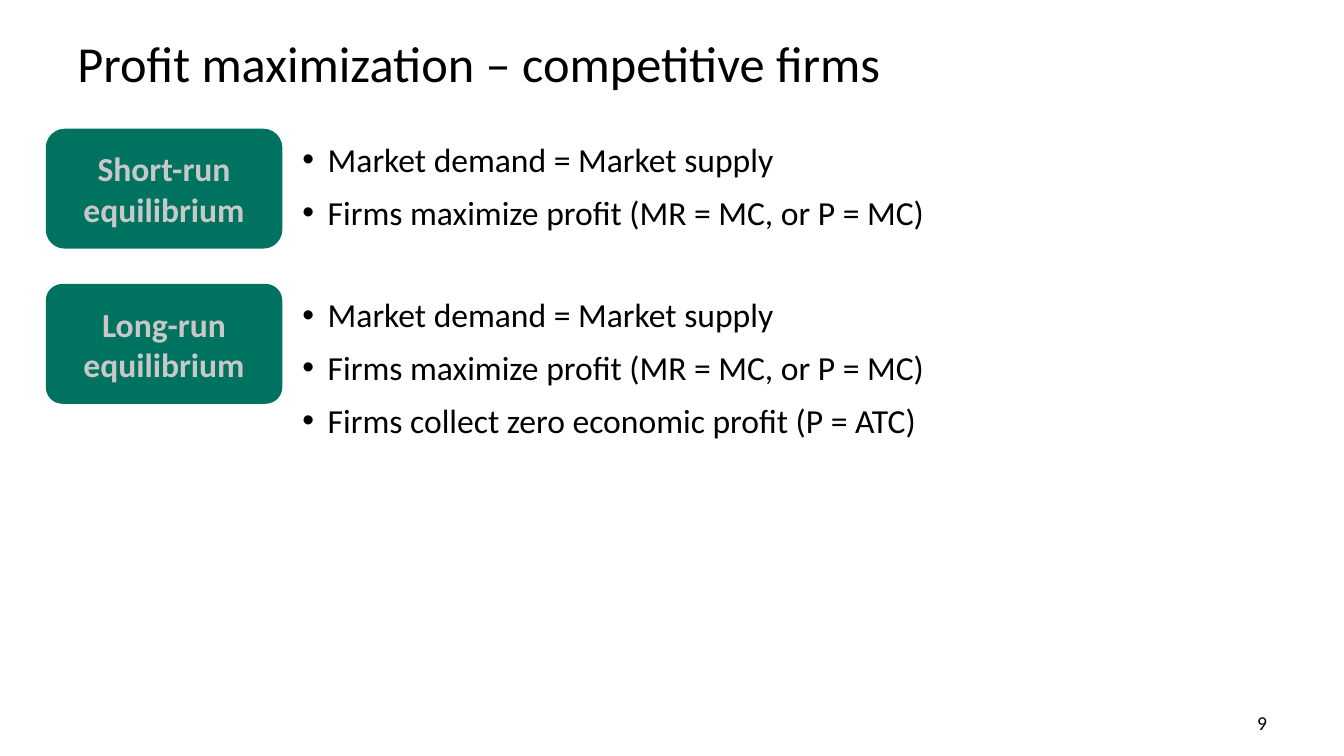
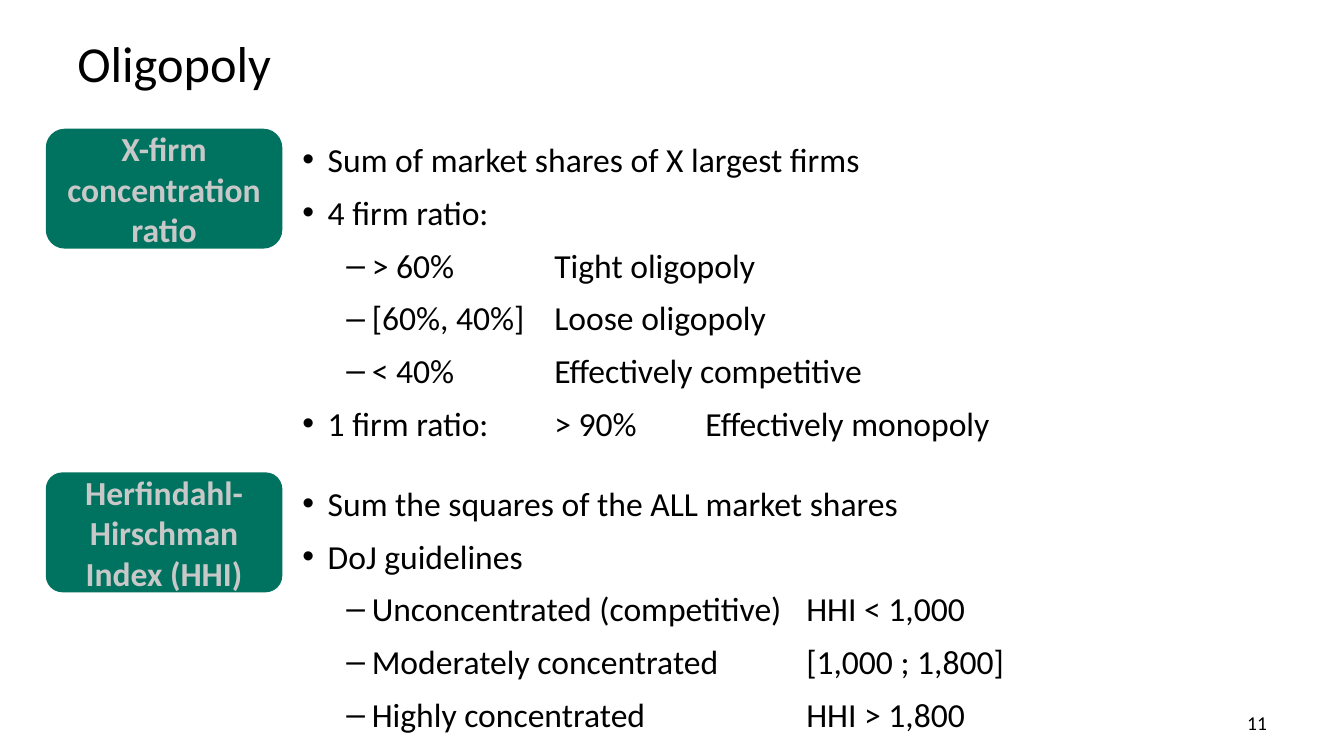
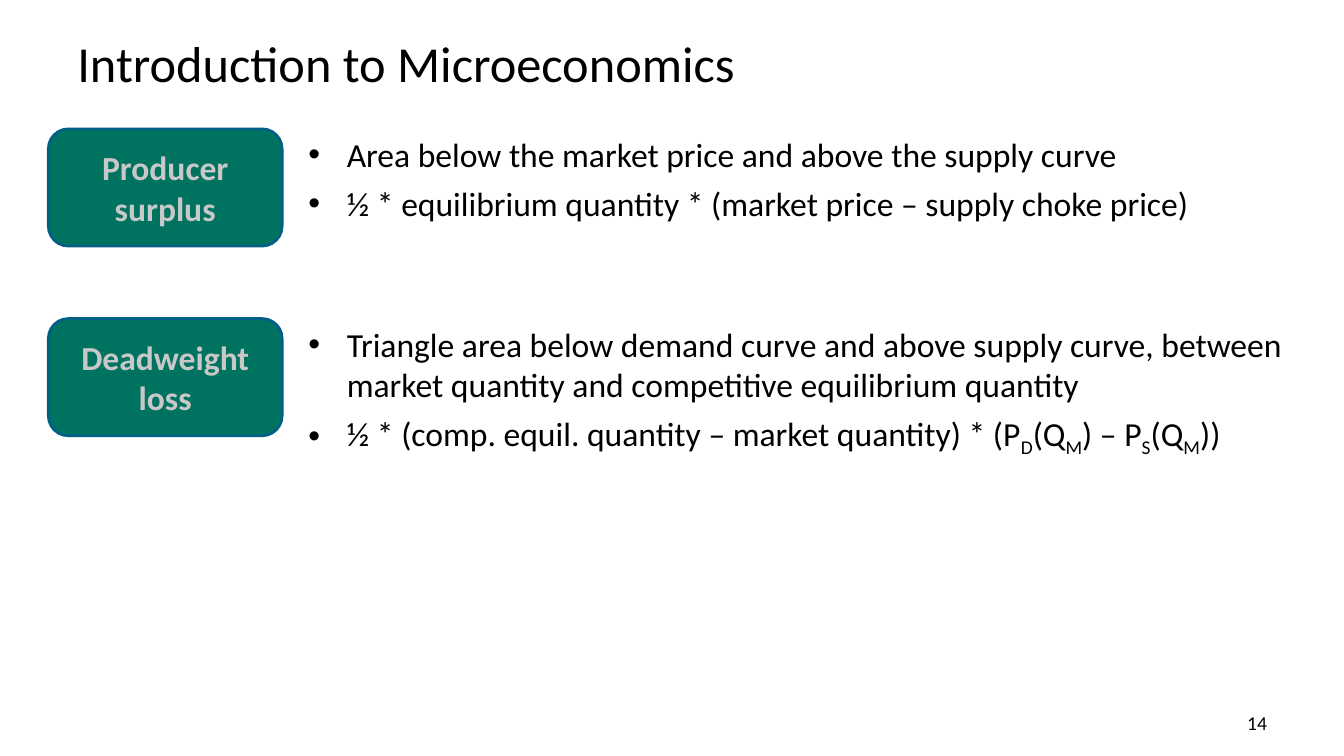
from dataclasses import dataclass

from lxml import etree
from pptx import Presentation
from pptx.dml.color import RGBColor
from pptx.enum.shapes import MSO_SHAPE
from pptx.enum.text import MSO_ANCHOR, PP_ALIGN
from pptx.oxml.ns import qn
from pptx.util import Cm, Pt

ROUNDED = MSO_SHAPE.ROUNDED_RECTANGLE
MIDDLE, TOP = MSO_ANCHOR.MIDDLE, MSO_ANCHOR.TOP
LEFT, CENTER, RIGHT = PP_ALIGN.LEFT, PP_ALIGN.CENTER, PP_ALIGN.RIGHT


@dataclass(frozen=True)
class Theme:
    font: str = "Calibri"
    bullet_font: str = "Arial"
    ink: str = "000000"
    card: str = "007360"
    card_text: str = "C8C8C8"
    blue: str = "005F85"
    title_size: int = 36
    body_size: int = 24
    number_size: int = 14
    line_width: int = 2
    space_after: int = 6


@dataclass(frozen=True)
class RowStyle:
    card_left: float
    body_left: float
    body_width: float
    outline: str
    hanging: float
    line_spacing: float


THEME = Theme()
WIDE = RowStyle(1.19, 7.37, 25.2, THEME.card, 0.64, 1.1)
OUTLINED = RowStyle(1.22, 7.52, 25.12, THEME.blue, 0.97, 1.0)
SUB_INDENT = 1.75
CARD_WIDTH, CARD_HEIGHT = 5.89, 2.95


def write(p, text, size=THEME.body_size, color=THEME.ink, bold=False, align=LEFT):
    p.alignment = align
    for i, part in enumerate(text.split("~")):
        r = p.add_run()
        r.text = part
        r.font.name = THEME.font
        r.font.size = Pt(size)
        r.font.bold = bold
        r.font.color.rgb = RGBColor.from_string(color)
        if i % 2:
            r.font._element.set("baseline", "-25000")


def add_bullet(p, char, left, hanging, tabs):
    pPr = p._p.get_or_add_pPr()
    pPr.set("marL", str(Cm(left)))
    pPr.set("indent", str(-Cm(hanging)))
    etree.SubElement(pPr, qn("a:buFont"), typeface=THEME.bullet_font)
    etree.SubElement(pPr, qn("a:buChar"), char=char)
    if tabs:
        tab_list = etree.SubElement(pPr, qn("a:tabLst"))
        for tab in tabs:
            etree.SubElement(tab_list, qn("a:tab"), pos=str(Cm(tab)), algn="l")


class Deck:
    def __init__(self):
        self.prs = Presentation()
        self.prs.slide_width = Cm(33.87)
        self.prs.slide_height = Cm(19.05)
        self.s = None

    def slide(self, title, number):
        self.s = self.prs.slides.add_slide(self.prs.slide_layouts[6])
        tf = self.box(1.7, 0.66, 30.48, 1.8, MIDDLE)
        write(tf.paragraphs[0], title, size=THEME.title_size)
        tf = self.box(24.28, 17.78, 7.9, 0.86)
        write(tf.paragraphs[0], number, size=THEME.number_size, align=RIGHT)

    def box(self, left, top, width, height, anchor=TOP):
        sp = self.s.shapes.add_textbox(Cm(left), Cm(top), Cm(width), Cm(height))
        tf = sp.text_frame
        tf.word_wrap = True
        tf.vertical_anchor = anchor
        return tf

    def card(self, text, left, top, outline, radius):
        sp = self.s.shapes.add_shape(
            ROUNDED, Cm(left), Cm(top), Cm(CARD_WIDTH), Cm(CARD_HEIGHT))
        sp.adjustments[0] = radius
        sp.shadow.inherit = False
        sp.fill.solid()
        sp.fill.fore_color.rgb = RGBColor.from_string(THEME.card)
        sp.line.color.rgb = RGBColor.from_string(outline)
        sp.line.width = Pt(THEME.line_width)
        tf = sp.text_frame
        tf.word_wrap = True
        tf.vertical_anchor = MIDDLE
        write(tf.paragraphs[0], text, color=THEME.card_text, bold=True, align=CENTER)

    def bullets(self, items, top, height, style, tabs):
        tf = self.box(style.body_left, top, style.body_width, height)
        for i, (level, text) in enumerate(items):
            p = tf.add_paragraph() if i else tf.paragraphs[0]
            p.level = level
            left = SUB_INDENT if level else style.hanging
            add_bullet(p, "–" if level else "•", left, style.hanging, tabs)
            p.line_spacing = style.line_spacing
            p.space_after = Pt(THEME.space_after)
            write(p, text)

    def row(self, label, items, top, height, style=WIDE, radius=0.15, tabs=()):
        self.card(label, style.card_left, top, style.outline, radius)
        self.bullets(items, top, height, style, tabs)


def main():
    deck = Deck()

    equilibrium = [
        (0, "Market demand = Market supply"),
        (0, "Firms maximize profit (MR = MC, or P = MC)"),
    ]
    zero_profit = (0, "Firms collect zero economic profit (P = ATC)")
    deck.slide("Profit maximization – competitive firms", "9")
    deck.row("Short-run equilibrium", equilibrium, 3.28, 2.67)
    deck.row("Long-run equilibrium", equilibrium + [zero_profit], 7.19, 4.01, radius=0.13)

    deck.slide("Oligopoly", "11")
    deck.row("X-firm concentration ratio", [
        (0, "Sum of market shares of X largest firms"),
        (0, "4 firm ratio:"),
        (1, "> 60%\tTight oligopoly"),
        (1, "[60%, 40%]\tLoose oligopoly"),
        (1, "< 40%\tEffectively competitive"),
        (0, "1 firm ratio:\t> 90%\tEffectively monopoly"),
    ], 3.28, 8.03, tabs=(6.35, 10.16))
    deck.row("Herfindahl-Hirschman Index (HHI)", [
        (0, "Sum the squares of the ALL market shares"),
        (0, "DoJ guidelines"),
        (1, "Unconcentrated (competitive)\tHHI < 1,000"),
        (1, "Moderately concentrated\t[1,000 ; 1,800]"),
        (1, "Highly concentrated\tHHI > 1,800"),
    ], 11.94, 6.71, radius=0.13, tabs=(12.7,))

    deck.slide("Introduction to Microeconomics", "14")
    deck.row("Producer surplus", [
        (0, "Area below the market price and above the supply curve"),
        (0, "½ * equilibrium quantity * (market price – supply choke price)"),
    ], 3.25, 2.51, OUTLINED, 0.17)
    deck.row("Deadweight loss", [
        (0, "Triangle area below demand curve and above supply curve, between "
            "market quantity and competitive equilibrium quantity"),
        (0, "½ * (comp. equil. quantity – market quantity) * "
            "(P~D~(Q~M~) – P~S~(Q~M~))"),
    ], 8.03, 3.56, OUTLINED, 0.17)

    deck.prs.save("out.pptx")


if __name__ == "__main__":
    main()
